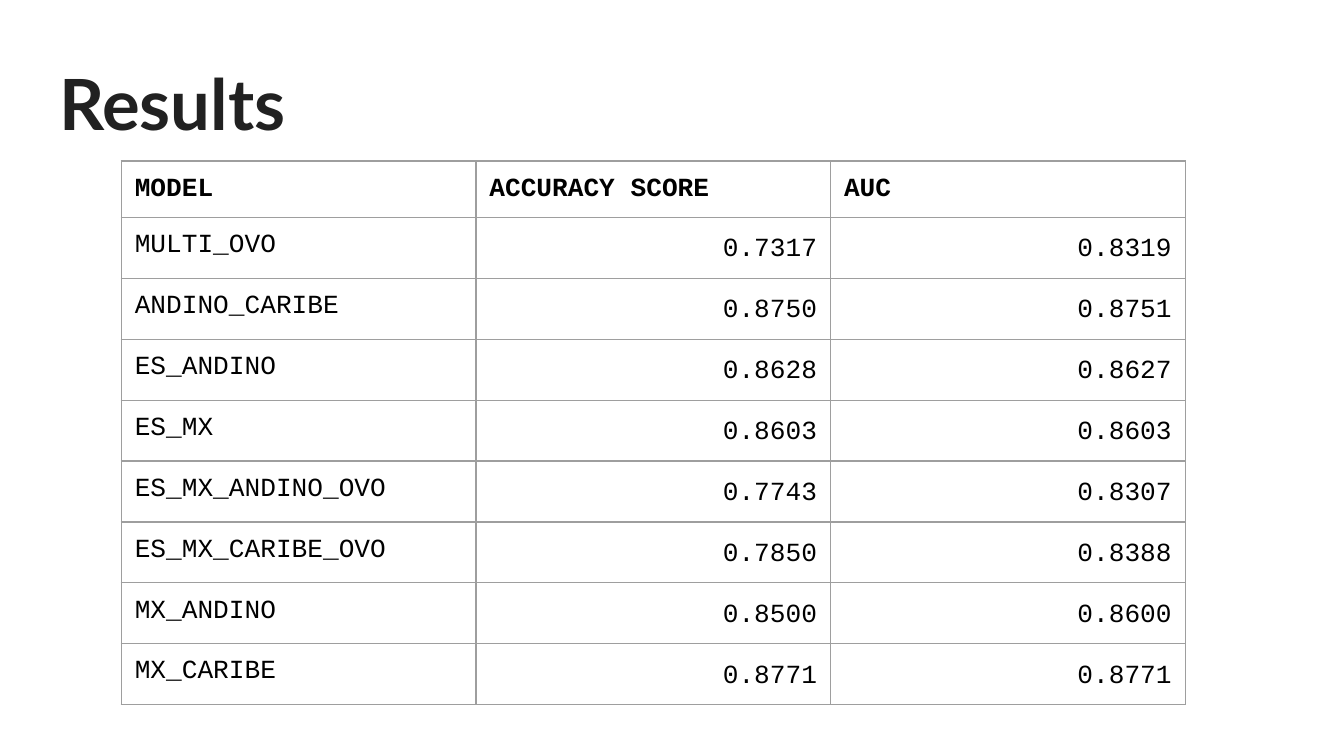
from lxml.etree import SubElement
from pptx import Presentation
from pptx.dml.color import RGBColor
from pptx.enum.text import MSO_ANCHOR, PP_ALIGN
from pptx.oxml.ns import qn
from pptx.util import Pt

COLORS = {"title": "212121", "text": "000000", "border": "9E9E9E"}
RESULTS = [
    ("MODEL", "ACCURACY SCORE", "AUC"),
    ("MULTI_OVO", "0.7317", "0.8319"),
    ("ANDINO_CARIBE", "0.8750", "0.8751"),
    ("ES_ANDINO", "0.8628", "0.8627"),
    ("ES_MX", "0.8603", "0.8603"),
    ("ES_MX_ANDINO_OVO", "0.7743", "0.8307"),
    ("ES_MX_CARIBE_OVO", "0.7850", "0.8388"),
    ("MX_ANDINO", "0.8500", "0.8600"),
    ("MX_CARIBE", "0.8771", "0.8771"),
]
INSET = Pt(7.2)
COLUMN_WIDTH = Pt(190)
ROW_HEIGHT = Pt(30.24)


def style_text(paragraph, font_name, size, color, bold):
    font = paragraph.runs[0].font
    font.name = font_name
    font.size = Pt(size)
    font.bold = bold
    font.color.rgb = RGBColor.from_string(COLORS[color])


def add_borders(cell):
    properties = cell._tc.get_or_add_tcPr()
    for side in ("a:lnL", "a:lnR", "a:lnT", "a:lnB"):
        line = SubElement(properties, qn(side), w=str(Pt(0.75)))
        fill = SubElement(line, qn("a:solidFill"))
        SubElement(fill, qn("a:srgbClr"), val=COLORS["border"])


prs = Presentation()
prs.slide_width, prs.slide_height = Pt(720), Pt(405)
slide = prs.slides.add_slide(prs.slide_layouts[5])

title = slide.shapes.title
title.left, title.top, title.width, title.height = Pt(24.5), Pt(23), Pt(671), Pt(63.4)
heading = title.text_frame
heading.text = "Results"
heading.vertical_anchor = MSO_ANCHOR.MIDDLE
heading.margin_left = heading.margin_right = INSET
heading.margin_top = heading.margin_bottom = INSET
heading.paragraphs[0].alignment = PP_ALIGN.LEFT
style_text(heading.paragraphs[0], "Lato", 37.8, "title", True)

scores = slide.shapes.add_table(
    len(RESULTS), len(RESULTS[0]), Pt(65), Pt(86.2),
    COLUMN_WIDTH * len(RESULTS[0]), ROW_HEIGHT * len(RESULTS),
).table
scores.horz_banding = False
scores.first_row = False
for column in scores.columns:
    column.width = COLUMN_WIDTH
for row in scores.rows:
    row.height = ROW_HEIGHT

for row_index, result in enumerate(RESULTS):
    for column_index, value in enumerate(result):
        cell = scores.cell(row_index, column_index)
        cell.margin_left = cell.margin_right = INSET
        cell.margin_top = cell.margin_bottom = INSET
        add_borders(cell)
        cell.fill.background()
        cell.text_frame.text = value
        entry = cell.text_frame.paragraphs[0]
        style_text(entry, "Courier New", 14, "text", row_index == 0)
        if row_index and column_index:
            entry.alignment = PP_ALIGN.RIGHT
            entry.line_spacing = 1.15

prs.save("out.pptx")
